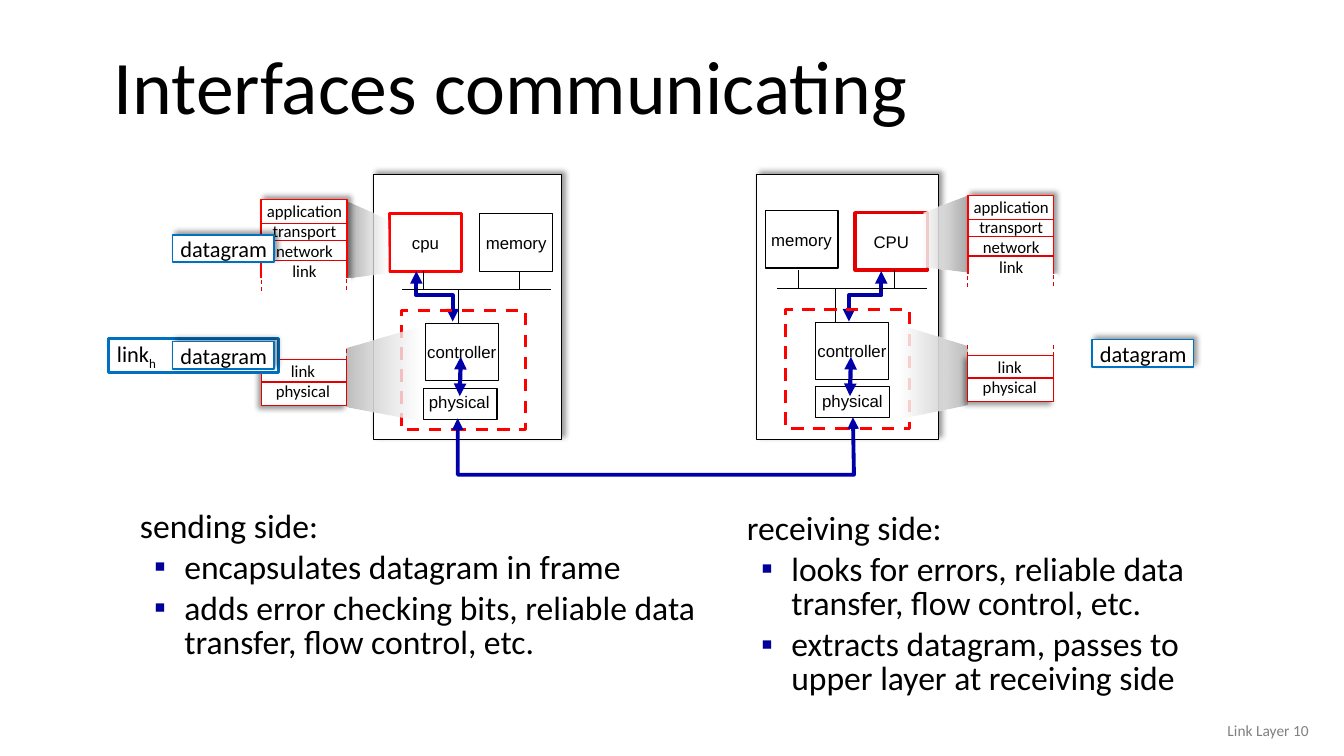
from lxml import etree
from pptx import Presentation, util as u
from pptx.dml.color import RGBColor
from pptx.enum import dml, shapes, text
from pptx.oxml.ns import qn

rgb = RGBColor.from_string
BLACK, WHITE, RED, DARK_RED = "000000", "FFFFFF", "FF0000", "E40000"
NAVY, BLUE, GREY = "0000A8", "0070C0", "808080"
CENTER, RIGHT = text.PP_ALIGN.CENTER, text.PP_ALIGN.RIGHT
MIDDLE, TOP = text.MSO_ANCHOR.MIDDLE, text.MSO_ANCHOR.TOP

prs = Presentation()
prs.slide_width, prs.slide_height = u.Inches(13.33), u.Inches(7.5)
slide = prs.slides.add_slide(prs.slide_layouts[6])


def draw(kind, at, line=None, width=0.75, fill=None, dash=False, arrows=False, shadow=None):
    """Draw a rect or text box (left, top, width, height), a line (x1, y1, x2, y2),
    or an open or closed path (points). shadow is the direction in degrees."""
    if kind == "text":
        return slide.shapes.add_textbox(*map(u.Inches, at))
    if kind == "line":
        item = slide.shapes.add_connector(shapes.MSO_CONNECTOR.STRAIGHT, *map(u.Inches, at))
    elif kind == "rect":
        item = slide.shapes.add_shape(shapes.MSO_SHAPE.RECTANGLE, *map(u.Inches, at))
    else:
        points = [(u.Inches(x), u.Inches(y)) for x, y in at]
        builder = slide.shapes.build_freeform(*points[0])
        builder.add_line_segments(points[1:], close=kind == "closed")
        item = builder.convert_to_shape()
    if kind != "line":
        if fill:
            item.fill.solid()
            item.fill.fore_color.rgb = rgb(fill)
        else:
            item.fill.background()
    if line:
        item.line.color.rgb = rgb(line)
        item.line.width = u.Pt(width)
        if dash:
            item.line.dash_style = dml.MSO_LINE.DASH
    else:
        item.line.fill.background()
    properties = item._element.spPr
    if arrows:
        for end in ("a:headEnd", "a:tailEnd"):
            etree.SubElement(properties.find(qn("a:ln")), qn(end), type="triangle")
    effects = etree.SubElement(properties, qn("a:effectLst"))
    if shadow is not None:
        outer = etree.SubElement(effects, qn("a:outerShdw"), blurRad=str(u.Pt(4)),
                                 dist=str(u.Pt(3)), dir=str(shadow * 60000),
                                 algn="ctr", rotWithShape="0")
        tint = etree.SubElement(outer, qn("a:srgbClr"), val=BLACK)
        etree.SubElement(tint, qn("a:alpha"), val="40000")
    return item


def write(holder, lines, size, font="Calibri", color=BLACK, align=None, anchor=TOP, wrap=False):
    frame = holder.text_frame
    frame.word_wrap = wrap
    frame.vertical_anchor = anchor
    for i, words in enumerate(lines):
        paragraph = frame.paragraphs[0] if i == 0 else frame.add_paragraph()
        paragraph.alignment = align or text.PP_ALIGN.LEFT
        run = paragraph.add_run()
        run.text = words
        run.font.size = u.Pt(size)
        run.font.name = font
        run.font.color.rgb = rgb(color)
    return frame


title = write(draw("text", (1.03, 0.4, 11.5, 0.98)), ["Interfaces communicating"], 54,
              anchor=MIDDLE, wrap=True)
title.paragraphs[0].line_spacing = 0.9

# Sending and receiving hosts
hosts = [
    dict(frame=(3.7, 1.87), bus=(3.99, 2.87), drop=4.55, controller=(4.22, 3.21),
         physical=(4.2, 3.85), label=(4.15, 3.84), card=(3.98, 3.08), inner=4.57,
         chips=[("cpu", 3.86, 2.12, RED, 2.25), ("memory", 4.76, 2.12, BLACK, 0.75)],
         to_cpu=(4.13, 4.49)),
    dict(frame=(7.5, 1.81), bus=(7.71, 2.86), drop=8.29, controller=(8.09, 3.2),
         physical=(8.09, 3.83), label=(8.05, 3.83), card=(7.79, 3.07), inner=8.44,
         chips=[("memory", 7.59, 2.09, BLACK, 1), ("CPU", 8.48, 2.11, DARK_RED, 2.25)],
         to_cpu=(8.74, 8.42)),
]
for host in hosts:
    left, width = host["frame"]
    draw("rect", (left, 1.73, width, 2.63), BLACK, fill=WHITE, shadow=315)
    draw("rect", (*host["physical"], 0.73, 0.31), BLACK, fill=WHITE)
    for name, x, y, color, weight in [("controller", *host["controller"], BLACK, 0.75),
                                      *host["chips"]]:
        chip = draw("rect", (x, y, 0.72, 0.57), color, weight, WHITE)
        write(chip, [name], 12, "Arial", align=CENTER, anchor=MIDDLE)
    write(draw("text", (*host["label"], 0.81, 0.5)), ["physical"], 12, "Arial", align=CENTER)
    cpu_x, card_x = host["to_cpu"]
    draw("open", [(cpu_x, 2.69), (cpu_x, 2.93), (card_x, 2.93), (card_x, 3.19)],
         NAVY, 3, arrows=True)
    bus_x, bus_y = host["bus"]
    draw("line", (bus_x, bus_y, bus_x + 1.48, bus_y), BLACK)
    draw("line", (host["drop"], host["controller"][1], host["drop"], bus_y), BLACK)
    for offset in (0.21, 1.16):
        draw("line", (bus_x + offset, bus_y, bus_x + offset, bus_y - 0.18), BLACK)
    draw("line", (host["inner"], 3.54, host["inner"] - 0.01, 3.93), NAVY, 3, arrows=True)
    draw("rect", (*host["card"], 1.23, 1.18), RED, 2.25, dash=True)

# Protocol stacks, each with two wedges that fade towards its host
stacks = [
    dict(x=2.59, y=1.98, lower_ticks=[0.85], fade=(74, 66), to_right=True,
         lower=[(4.16, 3.24), (3.44, 3.45), (3.44, 4.03), (4.17, 4.17)],
         upper=[(3.84, 2.18), (3.43, 1.99), (3.43, 2.76), (3.85, 2.7)]),
    dict(x=9.6, y=1.94, lower_ticks=[0, 0.85], fade=(82, 81), to_right=False,
         lower=[(8.92, 3.22), (9.6, 3.43), (9.6, 4.01), (8.92, 4.15)],
         upper=[(9.16, 2.11), (9.62, 1.93), (9.62, 2.7), (9.14, 2.64)]),
]
for stack in stacks:
    x, y = stack["x"], stack["y"]
    for part, shade, opacity in zip(("lower", "upper"), ("BFBFBF", "A6A6A6"), stack["fade"]):
        wedge = draw("closed", stack[part])
        wedge.fill.gradient()
        wedge.fill.gradient_angle = 0
        colors = [shade, WHITE] if stack["to_right"] else [WHITE, shade]
        for stop, color in zip(wedge.fill.gradient_stops, colors):
            stop.color.rgb = rgb(color)
        for tint in wedge._element.spPr.iter(qn("a:srgbClr")):
            if tint.get("val") == WHITE:
                etree.SubElement(tint, qn("a:alpha"), val=str(opacity * 1000))
    draw("rect", (x, y + 1.59, 0.85, 0.45), DARK_RED, fill=WHITE, shadow=135)
    draw("rect", (x, y, 0.85, 0.8), RED, 1, WHITE, shadow=315)
    write(draw("text", (x - 0.05, y - 0.04, 0.96, 0.91)),
          ["application", "transport", "network", "link"], 12, align=CENTER)
    for row in (0.24, 0.41, 0.6, 1.81):
        draw("line", (x, y + row, x + 0.85, y + row), DARK_RED)
    draw("rect", (x - 0.07, y + 0.78, 0.96, 0.2), fill=WHITE)
    ticks = [(0, 0.8), (0.85, 0.79)] + [(dx, 1.48) for dx in stack["lower_ticks"]]
    for dx, dy in ticks:
        draw("line", (x + dx, y + dy, x + dx, y + dy + 0.11), DARK_RED, dash=True)
    write(draw("text", (x + 0.04, y + 1.55, 0.75, 0.51)), ["link", "physical"], 12, align=CENTER)

# Cable between the two hosts
draw("open", [(4.54, 4.15), (4.54, 4.71), (8.47, 4.71), (8.46, 4.14)], NAVY, 2.75, arrows=True)

# What each side does
duties = [
    ((1.29, 5.02, 5.74, 2.12),
     ["sending side:", "encapsulates datagram in frame",
      "adds error checking bits, reliable data transfer, flow control, etc."]),
    ((7.31, 5.04, 5.28, 2.02),
     ["receiving side:", "looks for errors, reliable data transfer, flow control, etc.",
      "extracts datagram, passes to upper layer at receiving side"]),
]
for at, lines in duties:
    duty = write(draw("text", at), lines, 24, wrap=True)
    for i, paragraph in enumerate(duty.paragraphs):
        paragraph.line_spacing = 0.85
        if i == 0:
            continue
        paragraph.space_before = u.Pt(4.8)
        settings = paragraph._p.get_or_add_pPr()
        settings.set("marL", str(u.Inches(0.44)))
        settings.set("indent", str(u.Inches(-0.3)))
        bullet_color = etree.SubElement(settings, qn("a:buClr"))
        etree.SubElement(bullet_color, qn("a:srgbClr"), val="000099")
        etree.SubElement(settings, qn("a:buFont"), typeface="Arial")
        etree.SubElement(settings, qn("a:buChar"), char="▪")

# Datagrams, one of them inside a link frame
packets = [("link", (1.08, 3.36, 1.68, 0.34), 2, None)]
packets += [("datagram", (x, y, 1.01, 0.27), 1, 315)
            for x, y in [(1.71, 3.39), (1.71, 2.33), (10.83, 3.37)]]
for name, at, weight, shadow in packets:
    packet = write(draw("rect", at, BLUE, weight, WHITE, shadow=shadow), [name], 16, anchor=MIDDLE)
    packet.margin_left = u.Inches(0.08)
    packet.margin_top = packet.margin_bottom = 0
    if name == "link":
        header = packet.paragraphs[0].add_run()
        header.text = "h"
        header.font.size = u.Pt(16)
        header.font.name = "Calibri"
        header.font.color.rgb = rgb(BLACK)
        header._r.get_or_add_rPr().set("baseline", "-25000")

write(draw("text", (10.08, 7.05, 3, 0.4)), ["Link Layer 10"], 11, color=GREY,
      align=RIGHT, anchor=MIDDLE, wrap=True)

prs.save("out.pptx")
